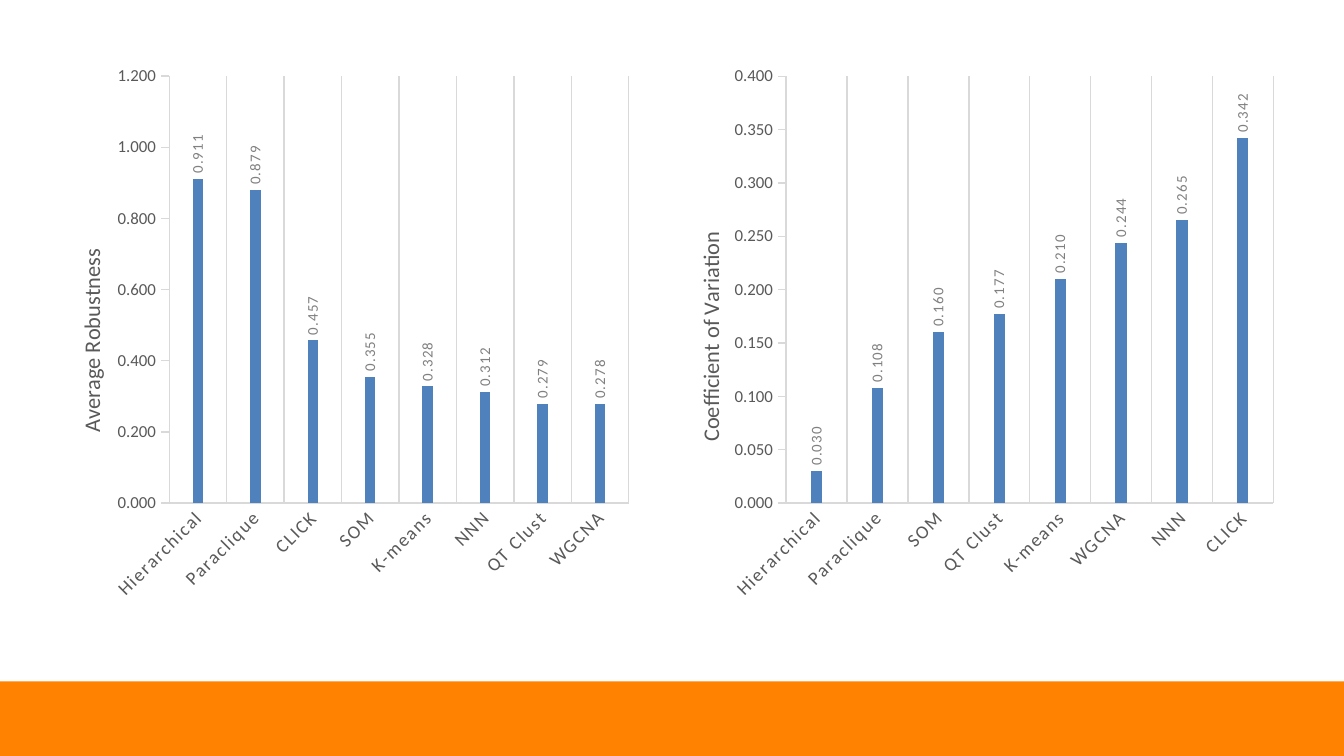
from pptx import Presentation
from pptx.chart.data import CategoryChartData
from pptx.dml.color import RGBColor
from pptx.enum.chart import XL_CHART_TYPE, XL_LABEL_POSITION, XL_TICK_MARK
from pptx.enum.shapes import MSO_SHAPE
from pptx.oxml import parse_xml
from pptx.oxml.ns import nsdecls, qn
from pptx.util import Pt

ORANGE, BLUE = "FF8200", "4F81BD"
DARK_GRAY, MID_GRAY, LIGHT_GRAY = "595959", "808080", "D9D9D9"
NUMBER_FORMAT = "0.000"


def color(hex_string):
    return RGBColor.from_string(hex_string)


class SlideBuilder:
    font_name = "Calibri"

    def __init__(self, slide):
        self.slide = slide

    def band(self, left, top, width, height, fill):
        band = self.slide.shapes.add_shape(
            MSO_SHAPE.RECTANGLE, Pt(left), Pt(top), Pt(width), Pt(height))
        band.shadow.inherit = False
        band.fill.solid()
        band.fill.fore_color.rgb = color(fill)
        band.line.fill.background()

    def style_font(self, font, size, hex_string):
        font.name = self.font_name
        font.size = Pt(size)
        font.bold = False
        font.color.rgb = color(hex_string)

    def style_line(self, line):
        line.color.rgb = color(LIGHT_GRAY)
        line.width = Pt(0.75)

    def rotate_text(self, part, degrees, spacing=0):
        body = part._element.xpath(".//a:bodyPr")[-1]
        body.set("rot", str(degrees * 60000))
        body.set("vert", "horz")
        if spacing:
            for props in part._element.xpath("c:txPr//a:defRPr"):
                props.set("spc", str(spacing))

    def place(self, element, index, **fractions):
        for layout in element.findall(qn("c:layout")):
            element.remove(layout)
        modes = "".join(f'<c:{edge}Mode val="edge"/>' for edge in "xy")
        sizes = "".join(f'<c:{key} val="{value}"/>'
                        for key, value in fractions.items())
        target = '<c:layoutTarget val="inner"/>' if "w" in fractions else ""
        element.insert(index, parse_xml(
            f'<c:layout {nsdecls("c")}><c:manualLayout>{target}{modes}{sizes}'
            "</c:manualLayout></c:layout>"))

    def column_chart(self, left, width, measure, scores, maximum, step,
                     plot_box, title_spot):
        data = CategoryChartData(number_format=NUMBER_FORMAT)
        data.categories = list(scores)
        data.add_series("Series 1", list(scores.values()))
        chart = self.slide.shapes.add_chart(
            XL_CHART_TYPE.COLUMN_CLUSTERED, Pt(left), Pt(28.8),
            Pt(width), Pt(301), data).chart
        chart.has_legend = False
        chart.has_title = False
        self.style_font(chart.font, 10, "000000")

        plot = chart.plots[0]
        plot.gap_width = 444
        plot.overlap = -90
        plot.vary_by_categories = False
        columns = plot.series[0].format.fill
        columns.solid()
        columns.fore_color.rgb = color(BLUE)

        plot.has_data_labels = True
        labels = plot.data_labels
        labels.show_value = True
        labels.position = XL_LABEL_POSITION.OUTSIDE_END
        labels.number_format = NUMBER_FORMAT
        labels.number_format_is_linked = False
        self.style_font(labels.font, 8, MID_GRAY)
        self.rotate_text(labels, -90, 50)

        methods, values = chart.category_axis, chart.value_axis
        for axis, size, tick in ((methods, 10, XL_TICK_MARK.NONE),
                                 (values, 9, XL_TICK_MARK.OUTSIDE)):
            axis.major_tick_mark = tick
            axis.minor_tick_mark = XL_TICK_MARK.NONE
            self.style_line(axis.format.line)
            self.style_font(axis.tick_labels.font, size, DARK_GRAY)
        methods.has_major_gridlines = True
        self.style_line(methods.major_gridlines.format.line)
        self.rotate_text(methods, -45, 100)

        values.has_major_gridlines = False
        values.minimum_scale = 0
        values.maximum_scale = maximum
        values.major_unit = step
        values.tick_labels.number_format = NUMBER_FORMAT
        values.tick_labels.number_format_is_linked = False
        title = values.axis_title
        run = title.text_frame.paragraphs[0].add_run()
        run.text = measure
        self.style_font(run.font, 12, DARK_GRAY)
        self.rotate_text(title, -90)

        self.place(title._element, 1, **title_spot)
        self.place(plot._element.getparent(), 0, **plot_box)


def main():
    presentation = Presentation()
    presentation.slide_width = Pt(720)
    presentation.slide_height = Pt(405)
    builder = SlideBuilder(
        presentation.slides.add_slide(presentation.slide_layouts[6]))

    builder.band(0, 365, 720, 40, ORANGE)
    robustness = {
        "Hierarchical": 0.911, "Paraclique": 0.879, "CLICK": 0.457,
        "SOM": 0.355, "K-means": 0.328, "NNN": 0.312,
        "QT Clust": 0.279, "WGCNA": 0.278}
    variation = {
        "Hierarchical": 0.030, "Paraclique": 0.108, "SOM": 0.160,
        "QT Clust": 0.177, "K-means": 0.210, "WGCNA": 0.244,
        "NNN": 0.265, "CLICK": 0.342}
    builder.column_chart(
        19.4, 324, "Average Robustness", robustness, 1.2, 0.2,
        dict(x=0.22, y=0.04, w=0.76, h=0.76), dict(x=0.06, y=0.34))
    builder.column_chart(
        350, 339, "Coefficient of Variation", variation, 0.4, 0.05,
        dict(x=0.21, y=0.04, w=0.77, h=0.76), dict(x=0.06, y=0.31))
    presentation.save("out.pptx")


if __name__ == "__main__":
    main()
